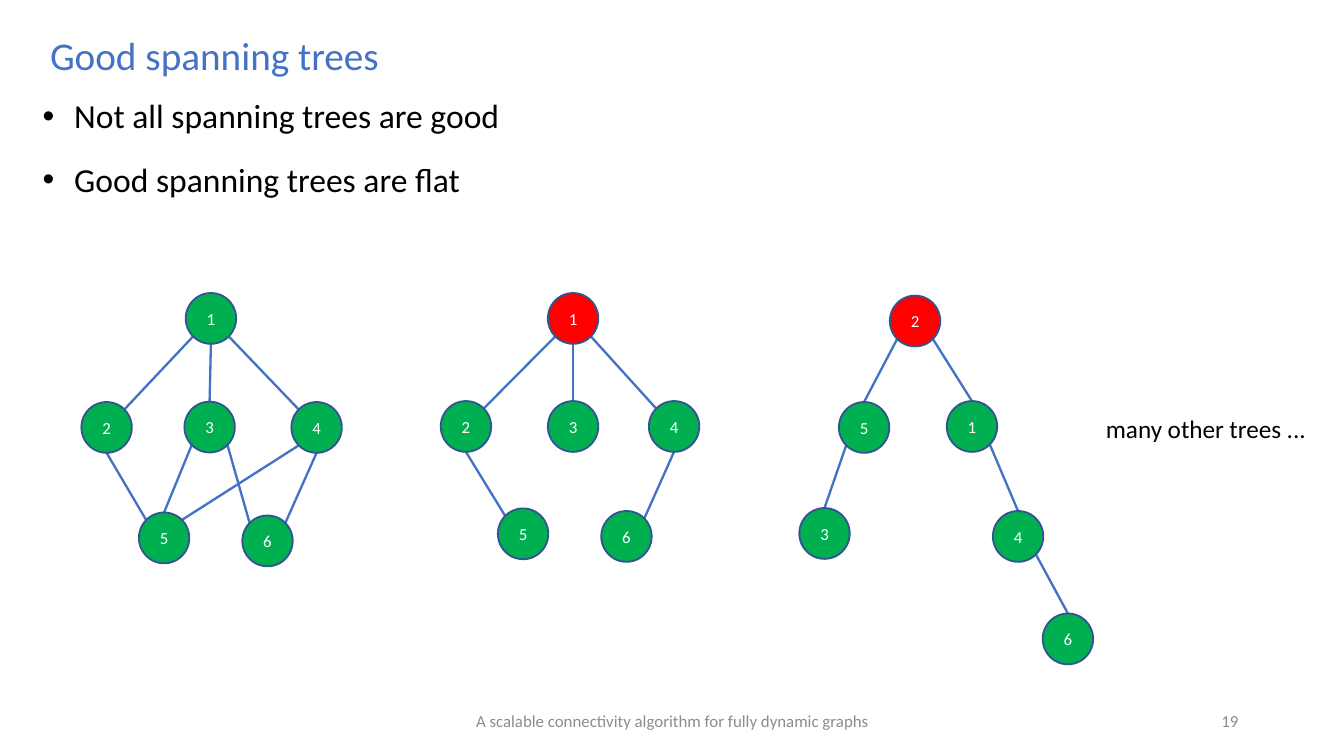
from pptx import Presentation
from pptx.dml.color import RGBColor
from pptx.enum.shapes import MSO_CONNECTOR as Link, MSO_SHAPE as Kind
from pptx.enum.text import MSO_ANCHOR as Anchor, PP_ALIGN as Align
from pptx.oxml.ns import qn
from pptx.util import Pt
from lxml.etree import SubElement

HUES = {"blue": "4472C4", "black": "000000", "gray": "8C8C8C", "white": "FFFFFF",
        "green": "00B050", "red": "FF0000", "rim": "325491"}
TITLE = "Good spanning trees"
POINTS = ["Not all spanning trees are good", "Good spanning trees are flat"]
LABELS = [
    ("A scalable connectivity algorithm for fully dynamic graphs",
     (238.5, 375.2, 243, 21.6), 9, "gray", Align.CENTER),
    ("19", (508.5, 375.2, 162, 21.6), 9, "gray", Align.RIGHT),
    ("many other trees ...", (585.4, 217.4, 123, 23.8), 13.5, "black", Align.LEFT),
]
FAN = ["1 SW 2 NE", "1 S 3 N", "1 SE 4 NW", "2 S 5 NW", "4 S 6 NE"]
GRAPHS = [
    {"root": None,
     "nodes": {"1": (113, 170.6), "2": (57.1, 229), "3": (112.3, 228.8),
               "4": (169.6, 229), "5": (87.9, 288.2), "6": (143.3, 289.8)},
     "edges": FAN + ["3 SW 5 N", "4 SW 5 NE", "3 SE 6 NW"]},
    {"root": "1",
     "nodes": {"1": (307, 170.6), "2": (249.6, 228.5), "3": (307, 228.5),
               "4": (361.1, 228.5), "5": (280.2, 286), "6": (335.6, 287.4)},
     "edges": FAN},
    {"root": "2",
     "nodes": {"2": (490.2, 172), "5": (462.9, 229), "1": (520.7, 228.5),
               "3": (441.7, 285.8), "4": (545.4, 287.4), "6": (572.1, 342.3)},
     "edges": ["2 SW 5 N", "2 SE 1 N", "5 SW 3 N", "1 SE 4 N", "4 SE 6 N"]},
]
WIDE, HIGH = 27, 27.2
DIAG = 0.71
SIDES = {"N": (0, -1), "S": (0, 1), "NW": (-DIAG, -DIAG), "NE": (DIAG, -DIAG),
         "SW": (-DIAG, DIAG), "SE": (DIAG, DIAG)}


def color(name):
    """Return the named color."""
    return RGBColor.from_string(HUES[name])


def style(para, size, hue, align=Align.LEFT):
    """Set the font and alignment of a paragraph."""
    para.alignment = align
    para.font.name = "Calibri"
    para.font.size = Pt(size)
    para.font.color.rgb = color(hue)


def place(shape, box):
    """Move and size a shape."""
    shape.left, shape.top, shape.width, shape.height = map(Pt, box)


def add_label(shapes, text, box, size, hue, align):
    """Add one line of text, centered vertically."""
    frame = shapes.add_textbox(*map(Pt, box)).text_frame
    frame.word_wrap = align != Align.LEFT
    frame.vertical_anchor = Anchor.MIDDLE
    frame.text = text
    style(frame.paragraphs[0], size, hue, align)


def add_points(shapes):
    """Add the bulleted list."""
    frame = shapes.add_textbox(*map(Pt, (15.8, 47.5, 262, 63.4))).text_frame
    frame.word_wrap = False
    for i, text in enumerate(POINTS):
        para = frame.add_paragraph() if i else frame.paragraphs[0]
        para.text = text
        props = para._p.get_or_add_pPr()
        props.set("marL", str(Pt(16.9)))
        props.set("indent", str(Pt(-16.9)))
        SubElement(props, qn("a:buFont"), typeface="Arial")
        SubElement(props, qn("a:buChar"), char="•")
        para.space_before = Pt(12.3 if i else 0)
        style(para, 18, "black")


def add_edge(shapes, nodes, edge):
    """Join two nodes between the given sides."""
    start, leave, end, enter = edge.split()
    spots = []
    for name, side in ((start, leave), (end, enter)):
        (x, y), (dx, dy) = nodes[name], SIDES[side]
        spots += [Pt(x + dx * WIDE / 2), Pt(y + dy * HIGH / 2)]
    line = shapes.add_connector(Link.STRAIGHT, *spots)
    line.line.color.rgb = color("blue")
    line.line.width = Pt(1.25)
    SubElement(line._element.spPr, qn("a:effectLst"))


def add_node(shapes, name, spot, hue):
    """Add a numbered circle centered on a spot."""
    x, y = spot
    box = (x - WIDE / 2, y - HIGH / 2, WIDE, HIGH)
    node = shapes.add_shape(Kind.OVAL, *map(Pt, box))
    node.shadow.inherit = False
    node.fill.solid()
    node.fill.fore_color.rgb = color(hue)
    node.line.color.rgb = color("rim")
    node.line.width = Pt(1)
    frame = node.text_frame
    frame.margin_left = frame.margin_right = 0
    frame.margin_top = frame.margin_bottom = 0
    frame.vertical_anchor = Anchor.MIDDLE
    frame.text = name
    style(frame.paragraphs[0], 9, "white", Align.CENTER)


def main():
    """Build the slide on spanning trees."""
    deck = Presentation()
    deck.slide_width, deck.slide_height = Pt(720), Pt(405)
    slide = deck.slides.add_slide(deck.slide_layouts[5])
    shapes = slide.shapes
    title = shapes.title
    place(title, (19.6, 13.2, 193, 32.6))
    title.text_frame.text = TITLE
    title.text_frame.word_wrap = False
    style(title.text_frame.paragraphs[0], 21, "blue")
    add_points(shapes)
    for label in LABELS:
        add_label(shapes, *label)
    for graph in GRAPHS:
        for edge in graph["edges"]:
            add_edge(shapes, graph["nodes"], edge)
        for name, spot in graph["nodes"].items():
            add_node(shapes, name, spot, "red" if name == graph["root"] else "green")
    deck.save("out.pptx")


if __name__ == "__main__":
    main()
